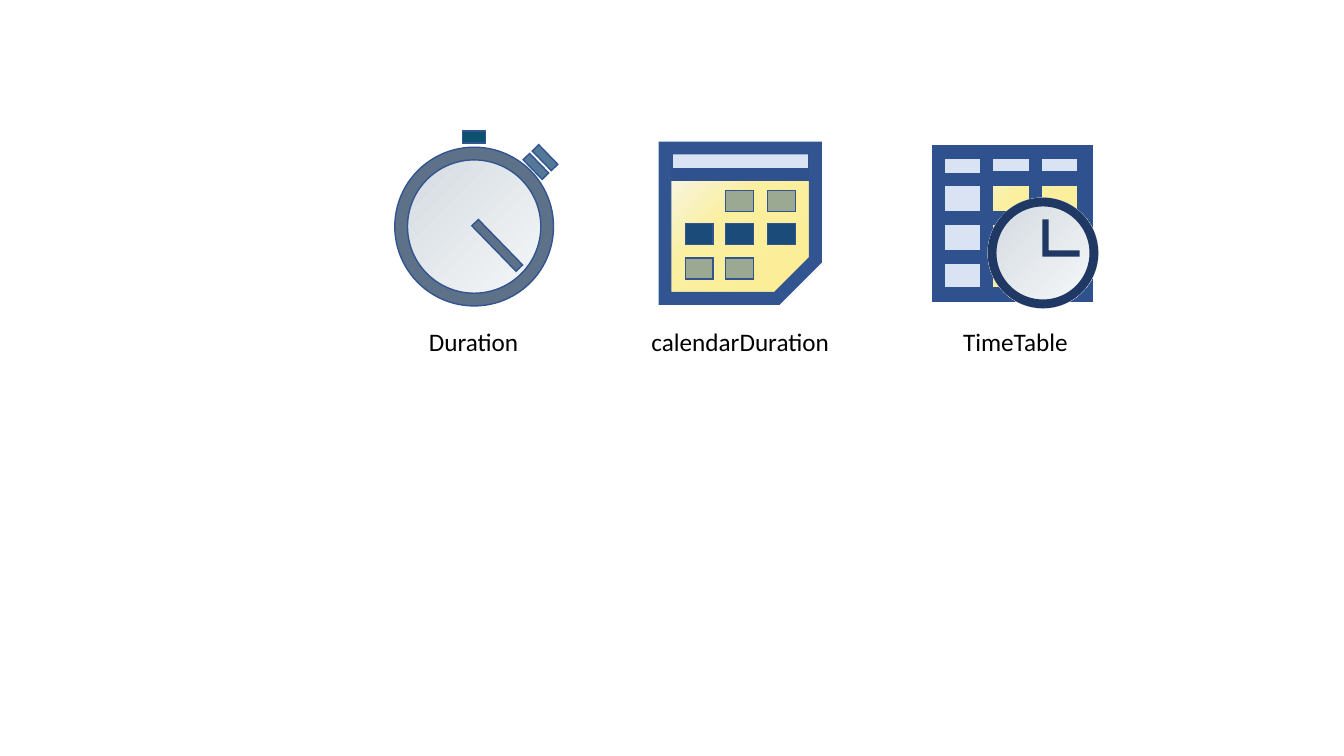
"""Build a slide with three icons: Duration, calendarDuration and TimeTable."""
from copy import deepcopy

from lxml import etree
from pptx import Presentation
from pptx import util as u
from pptx.dml.color import RGBColor
from pptx.enum import shapes, text
from pptx.oxml.ns import qn

BLACK = RGBColor(0x00, 0x00, 0x00)
EDGE = RGBColor(0x32, 0x54, 0x91)
GRID = RGBColor(0x2F, 0x52, 0x8F)
STEEL = RGBColor(0x5D, 0x72, 0x88)
BUTTON = RGBColor(0x54, 0x79, 0x98)
CROWN = RGBColor(0x0C, 0x51, 0x6E)
NAVY = RGBColor(0x20, 0x38, 0x64)
HEADER = RGBColor(0xDA, 0xE3, 0xF3)
DAY = RGBColor(0x9B, 0xA9, 0x93)
MARKED_DAY = RGBColor(0x1A, 0x4B, 0x79)
DIAL = [(0, RGBColor(0xD0, 0xD8, 0xDE)), (1, RGBColor(0xF9, 0xFA, 0xFB))]
PAPER = [
    (0, RGBColor(0xF6, 0xF8, 0xFC)),
    (0.43, RGBColor(0xFB, 0xEF, 0xA0)),
    (1, RGBColor(0xFC, 0xEE, 0x94)),
]
THIN = (EDGE, 1)
FRAME = (EDGE, 9.25)
BARS = (GRID, 9.25)
KIND = shapes.MSO_SHAPE


def fill_gradient(fill, stops):
    """Fill diagonally from the top left to the bottom right."""
    fill.gradient()
    fill.gradient_angle = 315
    last = fill.gradient_stops[-1]._gs
    for _ in stops[2:]:
        last.addnext(deepcopy(last))
    for stop, (position, color) in zip(fill.gradient_stops, stops):
        stop.position = position
        stop.color.rgb = color


def paint(shape, fill=None, line=None):
    """Set a colour or gradient fill and a sharp-cornered line."""
    shape.shadow.inherit = False
    if fill is None:
        shape.fill.background()
    elif isinstance(fill, RGBColor):
        shape.fill.solid()
        shape.fill.fore_color.rgb = fill
    else:
        fill_gradient(shape.fill, fill)
    if line is None:
        shape.line.fill.background()
        return
    color, width = line
    shape.line.color.rgb = color
    shape.line.width = u.Pt(width)
    outline = shape.line._get_or_add_ln()
    etree.SubElement(outline, qn("a:miter"), lim="800000")


def add_preset(parent, kind, place, fill=None, line=None, rotation=0, adjust=()):
    """Add a preset shape at left, top, width and height in centimetres."""
    shape = parent.add_shape(kind, *map(u.Cm, place))
    shape.rotation = rotation
    for index, value in enumerate(adjust):
        shape.adjustments[index] = value
    paint(shape, fill, line)


def add_outline(parent, corners, fill=None, line=None):
    """Add a closed outline through corners given in centimetres."""
    start, *others = [(u.Cm(x), u.Cm(y)) for x, y in corners]
    builder = parent.build_freeform(*start)
    builder.add_line_segments(others)
    paint(builder.convert_to_shape(), fill, line)


def add_cut_page(parent, left, top, right, bottom, cut_x, cut_y, fill=None, line=None):
    """Add a page outline whose lower right corner is cut off."""
    corners = [
        (left, top), (right, top), (right, cut_y), (cut_x, bottom), (left, bottom),
    ]
    add_outline(parent, corners, fill, line)


def add_hands(parent, left, top, length, thickness, fill):
    """Add clock hands that form an L."""
    right, bottom = left + length, top + length
    inner_x, inner_y = left + thickness, bottom - thickness
    corners = [
        (left, top), (inner_x, top), (inner_x, inner_y),
        (right, inner_y), (right, bottom), (left, bottom),
    ]
    add_outline(parent, corners, fill)


def add_dial(parent, left, top, size, ring, line=None):
    """Add a round clock face with its ring."""
    place = (left, top, size, size)
    add_preset(parent, KIND.OVAL, place, DIAL)
    add_preset(parent, KIND.DONUT, place, ring, line, adjust=[0.08])


def add_label(parent, left, width, words):
    """Add a centred caption under an icon."""
    box = parent.add_textbox(*map(u.Cm, (left, 8.1, width, 1.02)))
    frame = box.text_frame
    frame.word_wrap = False
    frame.auto_size = text.MSO_AUTO_SIZE.SHAPE_TO_FIT_TEXT
    para = frame.paragraphs[0]
    para.alignment = text.PP_ALIGN.CENTER
    span = para.add_run()
    span.text = words
    for name, value in {"name": "Calibri", "size": u.Pt(18)}.items():
        setattr(span.font, name, value)
    span.font.color.rgb = BLACK


def draw_stopwatch(parent):
    """Draw the Duration icon."""
    add_dial(parent, 9.95, 3.71, 4, STEEL, THIN)
    add_preset(parent, KIND.RECTANGLE, (11.65, 3.3, 0.58, 0.31), CROWN, THIN)
    for left, top, width, fill in [
        (13.16, 4.08, 0.69, BUTTON),
        (13.39, 3.86, 0.69, BUTTON),
        (11.73, 6.07, 1.6, STEEL),
    ]:
        place = (left, top, width, 0.23)
        add_preset(parent, KIND.RECTANGLE, place, fill, THIN, rotation=45.8)
    add_label(parent, 10.54, 2.79, "Duration")


def draw_calendar(parent):
    """Draw the calendarDuration icon."""
    add_cut_page(parent, 16.79, 3.73, 20.52, 7.44, 19.71, 6.63, fill=PAPER)
    add_preset(parent, KIND.RECTANGLE, (16.79, 3.73, 3.73, 0.66), HEADER, BARS)
    add_cut_page(parent, 16.76, 3.73, 20.55, 7.52, 19.58, 6.55, line=FRAME)
    add_label(parent, 16.13, 5.05, "calendarDuration")
    days = parent.add_group_shape().shapes
    columns = (17.27, 18.29, 19.35)
    for top, lefts, fill in [
        (4.8, columns[1:], DAY),
        (5.64, columns, MARKED_DAY),
        (6.5, columns[:2], DAY),
    ]:
        for left in lefts:
            add_preset(days, KIND.RECTANGLE, (left, top, 0.7, 0.53), fill, THIN)


def draw_timetable(parent):
    """Draw the TimeTable icon."""
    left, width = 23.65, 3.73
    add_preset(parent, KIND.RECTANGLE, (23.62, 3.73, width, 3.71), PAPER)
    add_preset(parent, KIND.RECTANGLE, (left, 3.81, width, 0.66), HEADER, BARS)
    for column, fill in enumerate([HEADER, None, None]):
        place = (left + 1.22 * column, 3.84, 1.22, 3.56)
        add_preset(parent, KIND.RECTANGLE, place, fill, BARS)
    for row in range(3):
        place = (left, 4.52 + 0.98 * row, width, 0.97)
        add_preset(parent, KIND.RECTANGLE, place, line=BARS)
    add_label(parent, 24, 3.18, "TimeTable")
    clock = parent.add_group_shape().shapes
    add_dial(clock, 24.89, 4.98, 2.79, NAVY)
    add_hands(clock, 26.27, 5.53, 0.94, 0.16, NAVY)


def main():
    """Build and save the deck."""
    deck = Presentation()
    deck.slide_width, deck.slide_height = u.Cm(33.87), u.Cm(19.05)
    page = deck.slides.add_slide(deck.slide_layouts[6])
    for draw in (draw_stopwatch, draw_calendar, draw_timetable):
        draw(page.shapes)
    deck.save("out.pptx")


if __name__ == "__main__":
    main()
